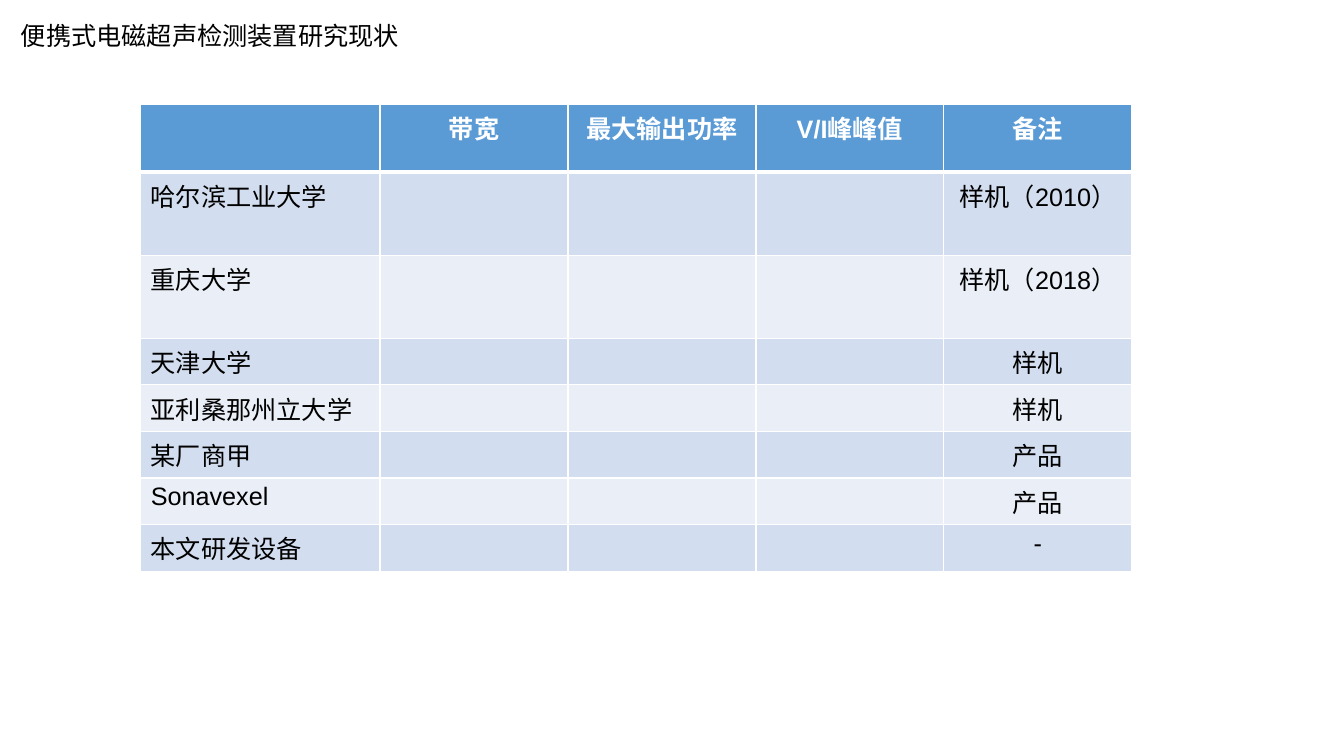
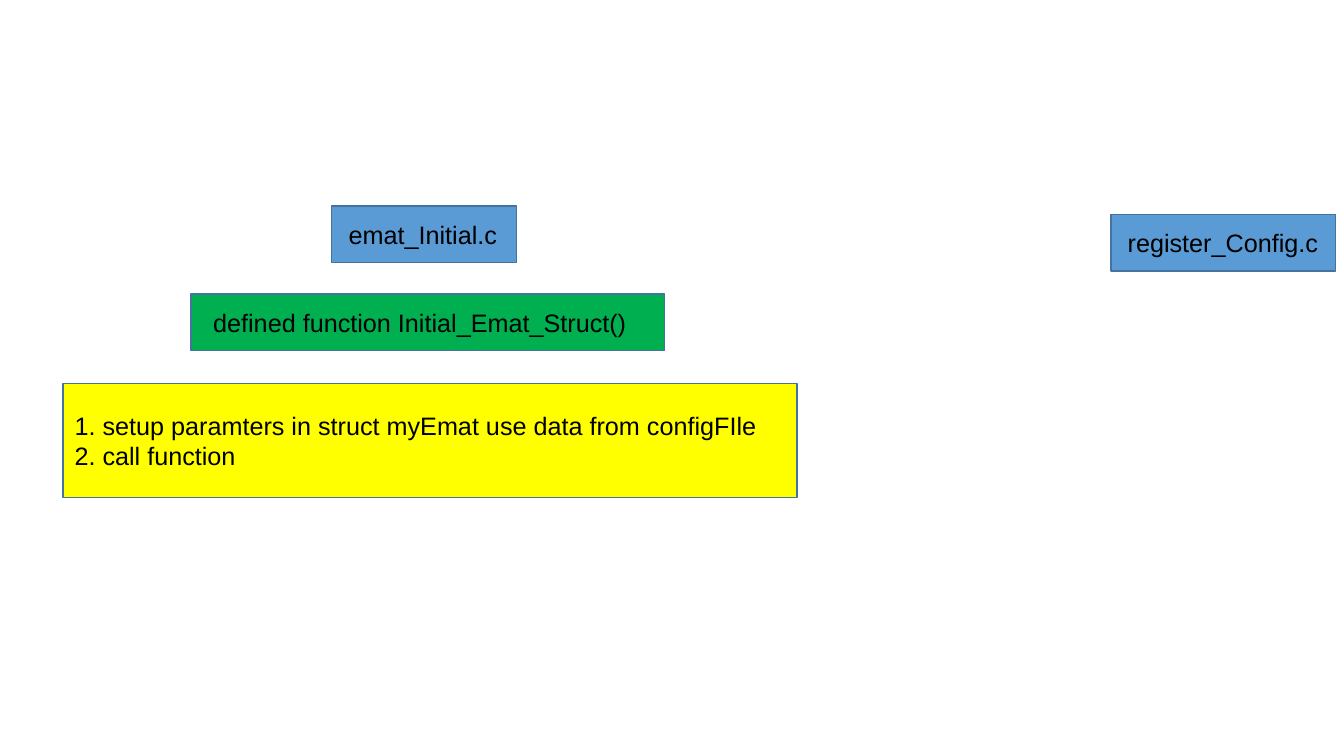
import pptx
import pptx.dml.color
import pptx.enum.shapes
import pptx.enum.text
import pptx.oxml
import pptx.oxml.ns
import pptx.util

RGB = pptx.dml.color.RGBColor
ALIGN = pptx.enum.text.PP_ALIGN
ANCHOR = pptx.enum.text.MSO_ANCHOR

PX = 9525  # EMU per px, 96 px to the inch
FONT = "Arial"
TEXT_SIZE = pptx.util.Pt(18)

BLACK = RGB(0x00, 0x00, 0x00)
WHITE = RGB(0xFF, 0xFF, 0xFF)
BLUE = RGB(0x5B, 0x9B, 0xD5)
OUTLINE_BLUE = RGB(0x43, 0x73, 0x9E)
BAND_DARK = RGB(0xD2, 0xDE, 0xEF)
BAND_LIGHT = RGB(0xEA, 0xEF, 0xF7)
GREEN = RGB(0x00, 0xB0, 0x50)
YELLOW = RGB(0xFF, 0xFF, 0x00)


def format_text(frame, color=BLACK, align=ALIGN.LEFT, bold=False):
    for paragraph in frame.paragraphs:
        paragraph.alignment = align
        for run in paragraph.runs:
            run.font.name = FONT
            run.font.size = TEXT_SIZE
            run.font.bold = bold
            run.font.color.rgb = color


def add_border(cell, side, points):
    line = pptx.oxml.parse_xml(
        f'<a:ln{side} {pptx.oxml.ns.nsdecls("a")} w="{pptx.util.Pt(points)}">'
        f'<a:solidFill><a:srgbClr val="{WHITE}"/></a:solidFill></a:ln{side}>'
    )
    cell._tc.get_or_add_tcPr().append(line)


prs = pptx.Presentation()
prs.slide_width = 1280 * PX
prs.slide_height = 720 * PX

# Slide 1: research status
status = prs.slides.add_slide(prs.slide_layouts[5])
heading = status.shapes.title
heading.left, heading.top, heading.width, heading.height = (
    n * PX for n in (9, 14, 382, 39)
)
heading.text_frame.text = "便携式电磁超声检测装置研究现状"
heading.text_frame.word_wrap = False
heading.text_frame.vertical_anchor = ANCHOR.MIDDLE
format_text(heading.text_frame, align=ALIGN.CENTER)

# Comparison table
HEADERS = ["", "带宽", "最大输出功率", "V/I峰峰值", "备注"]
DEVICES = [
    ("哈尔滨工业大学", "样机（2010）"),
    ("重庆大学", "样机（2018）"),
    ("天津大学", "样机"),
    ("亚利桑那州立大学", "样机"),
    ("某厂商甲", "产品"),
    ("Sonavexel", "产品"),
    ("本文研发设备", "-"),
]
COLUMN_WIDTHS = [228] + [179] * 4
ROW_HEIGHTS = [65] + [39] * len(DEVICES)

rows = [HEADERS] + [[maker, "", "", "", remark] for maker, remark in DEVICES]
comparison = status.shapes.add_table(
    len(rows), len(HEADERS), 134 * PX, 99 * PX,
    sum(COLUMN_WIDTHS) * PX, sum(ROW_HEIGHTS) * PX,
).table
for column, width in zip(comparison.columns, COLUMN_WIDTHS):
    column.width = width * PX
for r, (row, height) in enumerate(zip(rows, ROW_HEIGHTS)):
    comparison.rows[r].height = height * PX
    is_header = r == 0
    band = BLUE if is_header else BAND_DARK if r % 2 else BAND_LIGHT
    for c, text in enumerate(row):
        cell = comparison.cell(r, c)
        for side in "LRTB":
            under_header = (r, side) in ((0, "B"), (1, "T"))
            add_border(cell, side, 3 if under_header else 1)
        cell.fill.solid()
        cell.fill.fore_color.rgb = band
        cell.text_frame.text = text
        format_text(
            cell.text_frame,
            WHITE if is_header else BLACK,
            ALIGN.CENTER if c else ALIGN.LEFT,
            is_header,
        )

# Slide 2: source files and their functions
code = prs.slides.add_slide(prs.slide_layouts[6])

# left, top, width, height, left inset, fill, text
CODE_BOXES = [
    (316, 196, 176, 54, 16, BLUE, "emat_Initial.c"),
    (1058, 204, 214, 54, 16, BLUE, "register_Config.c"),
    (182, 280, 451, 54, 21, GREEN, "defined function Initial_Emat_Struct()"),
    (60, 365, 699, 109, 11, YELLOW,
     "1. setup paramters in struct myEmat use data from configFIle\n"
     "2. call function"),
]
for left, top, width, height, inset, color, text in CODE_BOXES:
    box = code.shapes.add_shape(
        pptx.enum.shapes.MSO_SHAPE.RECTANGLE,
        left * PX, top * PX, width * PX, height * PX,
    )
    box.shadow.inherit = False
    box.fill.solid()
    box.fill.fore_color.rgb = color
    box.line.color.rgb = OUTLINE_BLUE
    box.line.width = pptx.util.Pt(1)
    box.text_frame.text = text
    box.text_frame.word_wrap = True
    box.text_frame.margin_left = inset * PX
    box.text_frame.vertical_anchor = ANCHOR.MIDDLE
    format_text(box.text_frame)

prs.save("out.pptx")
